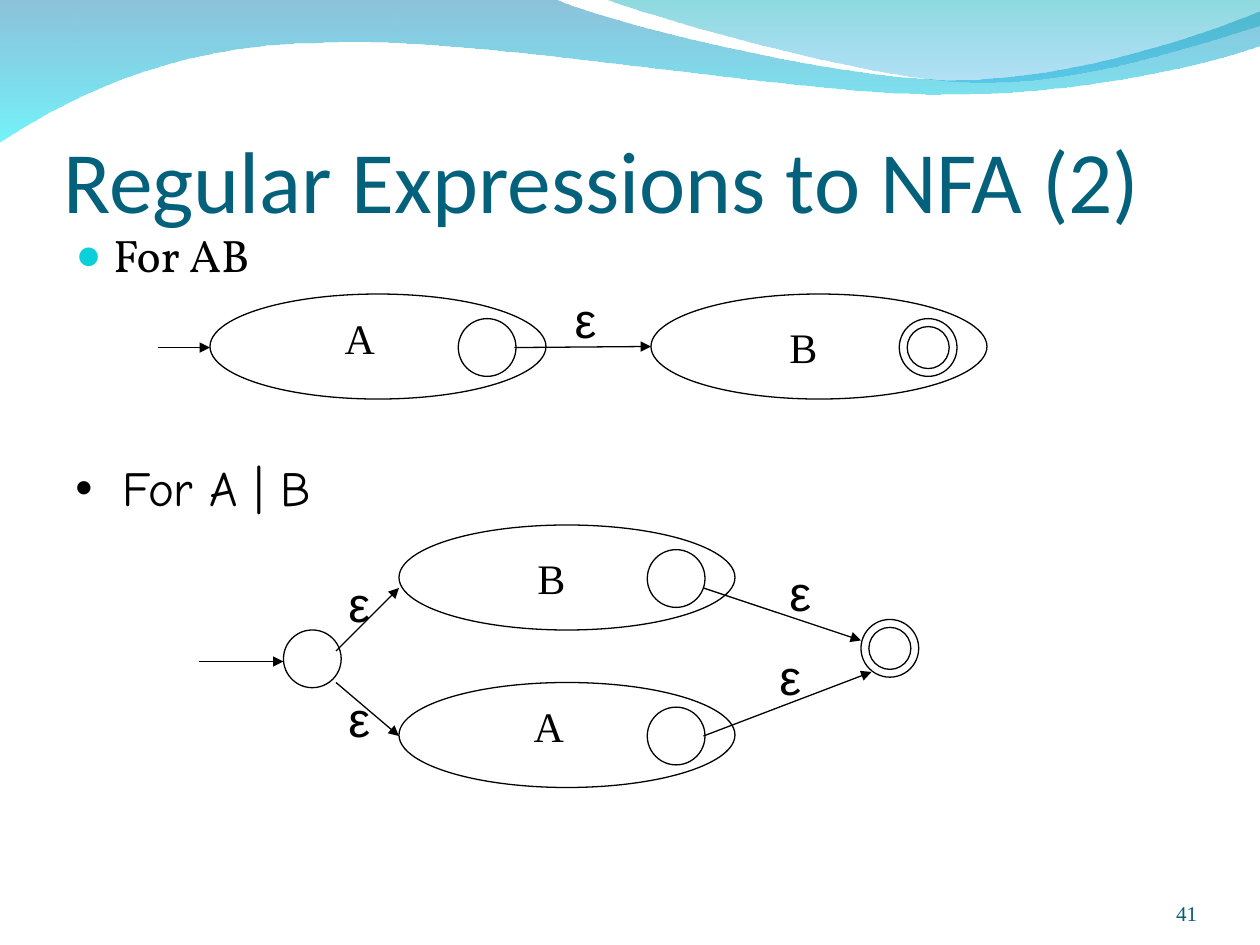
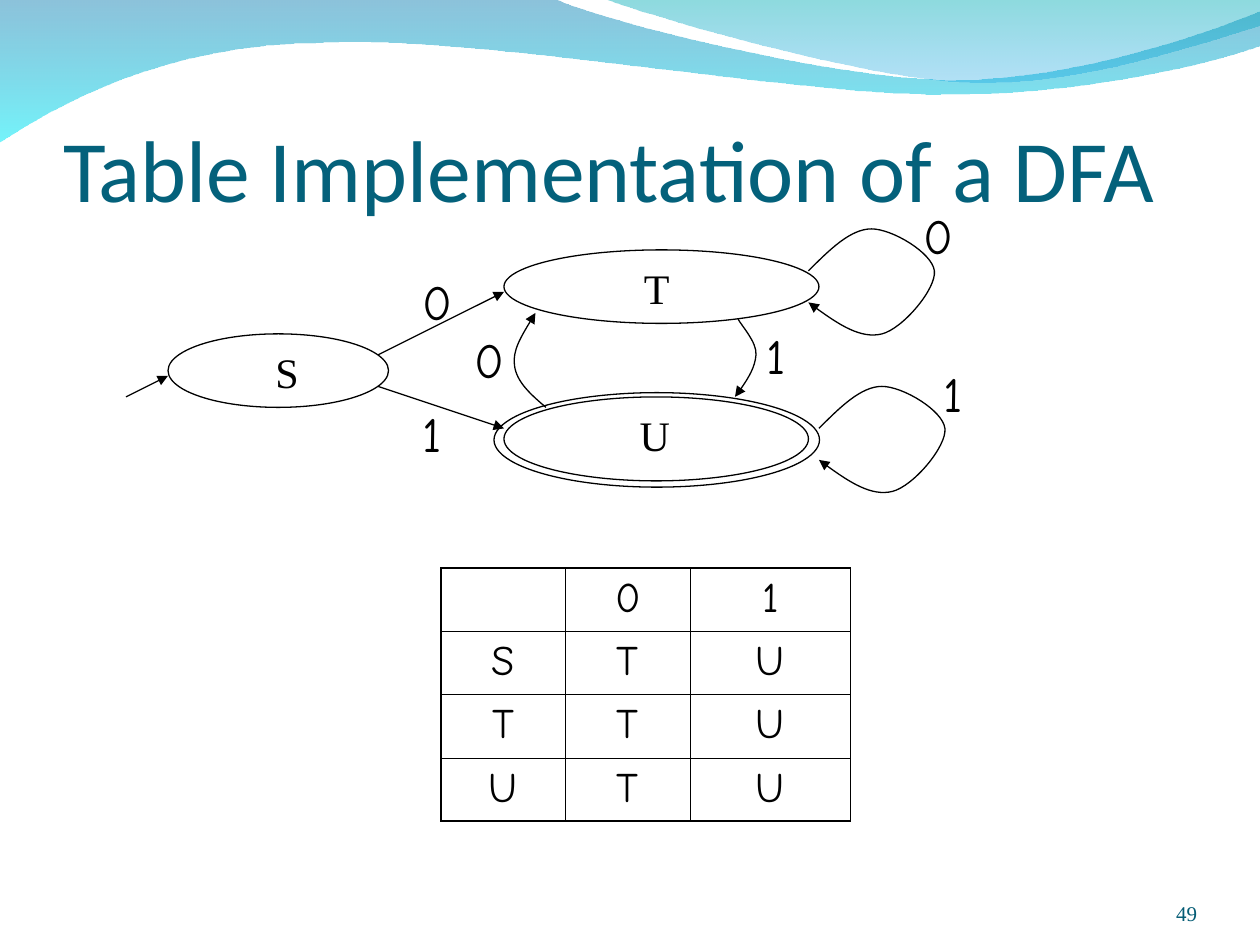
from dataclasses import dataclass
from typing import NamedTuple

from lxml import etree
from pptx import Presentation
from pptx.dml.color import RGBColor
from pptx.enum.shapes import MSO_CONNECTOR, MSO_SHAPE
from pptx.enum.text import MSO_ANCHOR, MSO_AUTO_SIZE, PP_ALIGN
from pptx.oxml.ns import qn
from pptx.util import Emu, Pt

STRAIGHT = MSO_CONNECTOR.STRAIGHT
OVAL = MSO_SHAPE.OVAL
BOTTOM = MSO_ANCHOR.BOTTOM
NO_FIT = MSO_AUTO_SIZE.NONE
LEFT, CENTER, RIGHT = PP_ALIGN.LEFT, PP_ALIGN.CENTER, PP_ALIGN.RIGHT

BLACK = RGBColor(0x00, 0x00, 0x00)
TITLE_TEAL = RGBColor(0x04, 0x61, 0x7B)
NUMBER_TEAL = RGBColor(0x04, 0x5C, 0x75)
BULLET_CYAN = RGBColor(0x0B, 0xD0, 0xD9)
WAVE_BLUE = RGBColor(0x00, 0x79, 0xAF)
WAVE_CYAN = RGBColor(0x00, 0xEB, 0xF8)
CREST_GREEN = RGBColor(0x00, 0xAD, 0xB6)
CREST_BLUE = RGBColor(0x00, 0x9B, 0xE5)

HEADING_FONT, BODY_FONT = "Calibri", "Vollkorn"
STATE_FONT, HAND_FONT, EPSILON_FONT = "Times New Roman", "Comic Neue", "Arial"

# The slide is a grid of square cells; every length below counts cells.
COLUMNS, ROWS, CELL = 120, 90, 76200
STATE_SIZE, FINAL_SIZE = 5.5, 4
LABEL_WIDTHS = {"A": 5.3, "B": 5, "S": 4.6, "T": 4.8, "U": 5.3,
                "ε": 4.4, "0": 5.2, "1": 4.2}

Point = tuple[float, float]


class Box(NamedTuple):
    left: float
    top: float
    width: float
    height: float


class TextStyle(NamedTuple):
    font: str
    size: float
    color: RGBColor = BLACK


class Bullet(NamedTuple):
    mark: str
    color: RGBColor
    percent: int
    indent: float
    space_before: float


class Label(NamedTuple):
    text: str
    left: float
    top: float


class Arrow(NamedTuple):
    start: Point
    end: Point


@dataclass(frozen=True)
class Curve:
    """A start point, then segments of one point (line) or three (Bézier)."""
    start: Point
    segments: tuple[tuple[Point, ...], ...]

    def moved(self, dx: float, dy: float) -> "Curve":
        return Curve((self.start[0] + dx, self.start[1] + dy),
                     tuple(tuple((x + dx, y + dy) for x, y in segment)
                           for segment in self.segments))


@dataclass(frozen=True)
class Band:
    outline: Curve
    stops: tuple[tuple[RGBColor, int], ...]


@dataclass(frozen=True)
class Machine:
    """An automaton drawn as a wide ellipse around its last state."""
    label: str
    left: float
    top: float
    label_dx: float
    label_dy: float
    accepting: bool = False


TITLE = TextStyle(HEADING_FONT, 50, TITLE_TEAL)
NUMBER = TextStyle(STATE_FONT, 12, NUMBER_TEAL)
STATE = TextStyle(STATE_FONT, 24)
EPSILON = TextStyle(EPSILON_FONT, 28)
SYMBOL = TextStyle(HAND_FONT, 28)
TABLE_TEXT = TextStyle(HAND_FONT, 24)

BANDS = (
    Band(Curve((0, -0.1), (
        ((52.8, -0.1),),
        ((57.1, 2), (79.7, 7.6), (91, 7.6)), ((102.4, 7.6), (115, 3.1), (120, 1.1)),
        ((120.1, 4.3),),
        ((118, 5.3), (104.4, 9.1), (89.5, 9)), ((74.6, 9), (45.8, 3.4), (30.8, 4.1)),
        ((15.5, 4.2), (5.5, 10), (-0.1, 13.6)))),
        ((WAVE_BLUE, 45), (WAVE_CYAN, 55))),
    Band(Curve((57.5, -0.1), (
        ((61.1, 1.3), (81.8, 7.4), (92.3, 7.8)), ((102.7, 8.3), (115.3, 3.8), (120, 2.5)),
        ((120, 0),))),
        ((CREST_GREEN, 45), (CREST_BLUE, 30))),
)

MACHINES = (Machine("A", 20, 28, 11.65, 1.15), Machine("B", 62, 28, 12, 2, True),
            Machine("A", 38, 65, 11.65, 1.15), Machine("B", 38, 50, 12, 2))
NFA_ARROWS = (
    Arrow((15, 33.1), (20, 33.1)), Arrow((49, 33.1), (62, 33)),
    Arrow((19, 63), (27, 63)),
    Arrow((32, 62), (38, 56)), Arrow((32, 65), (38, 70.1)),
    Arrow((67, 56), (82, 61)), Arrow((67, 70.1), (83, 64)))
EPSILONS = tuple(Label("ε", *corner) for corner in
                 ((53.55, 27), (32, 54), (32, 65), (74, 53), (73.05, 61)))

DFA_ELLIPSES = (Box(16, 31.8, 21, 7), Box(48, 23.8, 30, 7),
                Box(48, 37.8, 29, 8), Box(47.05, 37.4, 31, 9))
DFA_STATES = (Label("S", 25.05, 32.4), Label("T", 60.15, 24.4), Label("U", 59.75, 38.4))
DFA_ARROWS = (Arrow((12, 37.8), (16, 35.8)), Arrow((36, 33.8), (48, 27.8)),
              Arrow((36, 36.8), (48, 40.8)))
DFA_SYMBOLS = (Label("0", 39.05, 25.25), Label("1", 39.1, 37.8), Label("0", 86.8, 19),
               Label("1", 88.7, 34), Label("0", 44, 30.8), Label("1", 71.85, 30.4))
T_LOOP = Curve((77, 25.8), (
    ((79, 23.8), (81, 21.8), (83, 21.8)), ((85, 21.8), (88.8, 24.1), (89, 25.8)),
    ((89.2, 27.5), (86, 31.3), (84, 31.8)), ((82, 32.3), (79.4, 30.6), (77, 28.8))))
U_TO_T = Curve((52, 38.8), (
    ((50.6, 37.6), (49.2, 36.4), (49, 34.8)), ((48.8, 33.4), (49.9, 31.6), (51, 29.8))))
T_TO_U = Curve((70.3, 30.4), (
    ((70.6, 31), (72.1, 32.6), (72, 33.8)), ((71.9, 35), (71, 36.5), (70, 37.8))))
TRANSITIONS = (("", "0", "1"), ("S", "T", "U"), ("T", "T", "U"), ("U", "T", "U"))


def cells(*counts: float) -> list[Emu]:
    return [Emu(round(count * CELL)) for count in counts]


def write(paragraph, text: str, style: TextStyle) -> None:
    run = paragraph.add_run()
    run.text = text
    run.font.name, run.font.size = style.font, Pt(style.size)
    run.font.color.rgb = style.color


def place(shape, box: Box) -> None:
    shape.left, shape.top, shape.width, shape.height = cells(*box)


def set_insets(frame, top: float = 0) -> None:
    frame.margin_left = frame.margin_right = frame.margin_bottom = 0
    frame.margin_top = cells(top)[0]


def add_bullet(paragraph, bullet: Bullet) -> None:
    paragraph.space_before = Pt(bullet.space_before)
    properties = paragraph._p.get_or_add_pPr()
    indent = cells(bullet.indent)[0]
    properties.set("marL", str(indent))
    properties.set("indent", str(-indent))
    color = etree.SubElement(properties, qn("a:buClr"))
    etree.SubElement(color, qn("a:srgbClr"), val=str(bullet.color))
    etree.SubElement(properties, qn("a:buSzPct"), val=str(bullet.percent * 1000))
    etree.SubElement(properties, qn("a:buFont"), typeface="Arial")
    etree.SubElement(properties, qn("a:buChar"), char=bullet.mark)


def draw_outline(shape, arrowhead: bool = False) -> None:
    shape.line.color.rgb, shape.line.width = BLACK, Pt(0.75)
    if arrowhead:
        line = shape.element.spPr.find(qn("a:ln"))
        etree.SubElement(line, qn("a:tailEnd"), type="triangle")


def add_ellipse(slide, box: Box) -> None:
    ellipse = slide.shapes.add_shape(OVAL, *cells(*box))
    ellipse.fill.background()
    ellipse.shadow.inherit = False
    draw_outline(ellipse)


def add_state(slide, left: float, top: float, accepting: bool = False) -> None:
    if accepting:
        gap = (STATE_SIZE - FINAL_SIZE) / 2
        add_ellipse(slide, Box(left + gap, top + gap, FINAL_SIZE, FINAL_SIZE))
    add_ellipse(slide, Box(left, top, STATE_SIZE, STATE_SIZE))


def add_label(slide, label: Label, style: TextStyle) -> None:
    height = 6 if style.size == STATE.size else 6.8
    box = slide.shapes.add_textbox(
        *cells(label.left, label.top, LABEL_WIDTHS[label.text], height))
    box.text_frame.word_wrap = False
    write(box.text_frame.paragraphs[0], label.text, style)


def add_machine(slide, machine: Machine) -> None:
    add_ellipse(slide, Box(machine.left, machine.top, 32, 10))
    add_state(slide, machine.left + 23.65, machine.top + 2.35, machine.accepting)
    add_label(slide, Label(machine.label, machine.left + machine.label_dx,
                           machine.top + machine.label_dy), STATE)


def add_arrow(slide, arrow: Arrow) -> None:
    connector = slide.shapes.add_connector(STRAIGHT, *cells(*arrow.start, *arrow.end))
    draw_outline(connector, arrowhead=True)
    etree.SubElement(connector.element.spPr, qn("a:effectLst"))


def add_curve(slide, curve: Curve, close: bool = False):
    """Build a freeform through all points, then bend each three-point segment."""
    builder = slide.shapes.build_freeform(*cells(*curve.start))
    builder.add_line_segments(
        [cells(*point) for segment in curve.segments for point in segment], close=close)
    freeform = builder.convert_to_shape()
    freeform.shadow.inherit = False
    lines = iter(list(freeform.element.spPr.iter(qn("a:lnTo"))))
    for segment in curve.segments:
        first, *rest = [next(lines) for _ in segment]
        if rest:
            bend = etree.Element(qn("a:cubicBezTo"))
            first.addprevious(bend)
            for line in (first, *rest):
                bend.append(line[0])
                line.getparent().remove(line)
    return freeform


def add_curved_arrow(slide, curve: Curve) -> None:
    freeform = add_curve(slide, curve)
    freeform.fill.background()
    draw_outline(freeform, arrowhead=True)


def add_bands_to_master(prs, slide) -> None:
    """Draw the bands on a slide, then move them behind everything on the master."""
    for depth, band in enumerate(BANDS):
        wave = add_curve(slide, band.outline, close=True)
        wave.line.fill.background()
        wave.fill.gradient()
        wave.fill.gradient_angle = 270
        for stop, (color, _) in zip(wave.fill.gradient_stops, band.stops):
            stop.color.rgb = color
        colors = wave.element.spPr.iter(qn("a:srgbClr"))
        for color, (_, opacity) in zip(list(colors), band.stops):
            etree.SubElement(color, qn("a:alpha"), val=str(opacity * 1000))
        prs.slide_master.shapes.element.insert(2 + depth, wave.element)


def add_slide(prs, layout: int, title: str, title_top: float, number: str):
    slide = prs.slides.add_slide(prs.slide_layouts[layout])
    heading = slide.shapes.title
    place(heading, Box(6, title_top, 108, 15))
    frame = heading.text_frame
    frame.auto_size, frame.vertical_anchor = NO_FIT, BOTTOM
    set_insets(frame, top=0.6)
    frame.paragraphs[0].alignment = LEFT
    write(frame.paragraphs[0], title, TITLE)

    page = slide.shapes.add_textbox(*cells(104, 83.4, 10, 4.8)).text_frame
    page.word_wrap, page.vertical_anchor = True, BOTTOM
    set_insets(page)
    page.paragraphs[0].alignment = RIGHT
    write(page.paragraphs[0], number, NUMBER)
    return slide


def add_list_item(shape, text: str, style: TextStyle, bullet: Bullet) -> None:
    frame = shape.text_frame
    frame.word_wrap, frame.auto_size = True, NO_FIT
    add_bullet(frame.paragraphs[0], bullet)
    write(frame.paragraphs[0], text, style)


def add_transition_table(slide) -> None:
    widths, row_height = (11.85, 11.9, 15.25), 6.03
    last_row, last_column = len(TRANSITIONS) - 1, len(widths) - 1
    table = slide.shapes.add_table(
        len(TRANSITIONS), len(widths),
        *cells(42, 54.1, sum(widths), row_height * len(TRANSITIONS))).table
    table.first_row = table.horz_banding = False
    for column, width in zip(table.columns, cells(*widths)):
        column.width = width
    for r, row in enumerate(TRANSITIONS):
        for c, text in enumerate(row):
            cell = table.cell(r, c)
            properties = cell._tc.get_or_add_tcPr()
            outer = {"a:lnL": c == 0, "a:lnR": c == last_column,
                     "a:lnT": r == 0, "a:lnB": r == last_row}
            for side, is_outer in outer.items():
                line = etree.SubElement(properties, qn(side),
                                        w=str(Pt(1.08 if is_outer else 0.45)))
                paint = etree.SubElement(line, qn("a:solidFill"))
                etree.SubElement(paint, qn("a:srgbClr"), val=str(BLACK))
            cell.fill.background()
            if text:
                paragraph = cell.text_frame.paragraphs[0]
                paragraph.alignment, paragraph.space_before = CENTER, Pt(6)
                write(paragraph, text, TABLE_TEXT)


def build_nfa_slide(prs):
    slide = add_slide(prs, 1, "Regular Expressions to NFA (2)", 7, "41")
    concatenation = slide.placeholders[1]
    place(concatenation, Box(6, 21, 109, 7))
    add_list_item(concatenation, "For AB", TextStyle(BODY_FONT, 26),
                  Bullet("●", BULLET_CYAN, 95, 3.6, 6.5))
    alternation = slide.shapes.add_textbox(*cells(6, 43, 109, 7))
    add_list_item(alternation, "For A | B", SYMBOL, Bullet("•", BLACK, 100, 4.5, 7))
    for machine in MACHINES:
        add_machine(slide, machine)
    add_state(slide, 27, 60)
    add_state(slide, 82, 59, accepting=True)
    for arrow in NFA_ARROWS:
        add_arrow(slide, arrow)
    for epsilon in EPSILONS:
        add_label(slide, epsilon, EPSILON)
    return slide


def build_dfa_slide(prs) -> None:
    slide = add_slide(prs, 5, "Table Implementation of a DFA", 6, "49")
    for ellipse in DFA_ELLIPSES:
        add_ellipse(slide, ellipse)
    for state in DFA_STATES:
        add_label(slide, state, STATE)
    for arrow in DFA_ARROWS:
        add_arrow(slide, arrow)
    for curve in (T_LOOP, T_LOOP.moved(1, 15), U_TO_T, T_TO_U):
        add_curved_arrow(slide, curve)
    for symbol in DFA_SYMBOLS:
        add_label(slide, symbol, SYMBOL)
    add_transition_table(slide)


def main() -> None:
    prs = Presentation()
    prs.slide_width, prs.slide_height = cells(COLUMNS, ROWS)
    nfa = build_nfa_slide(prs)
    add_bands_to_master(prs, nfa)
    build_dfa_slide(prs)
    prs.save("out.pptx")


if __name__ == "__main__":
    main()
